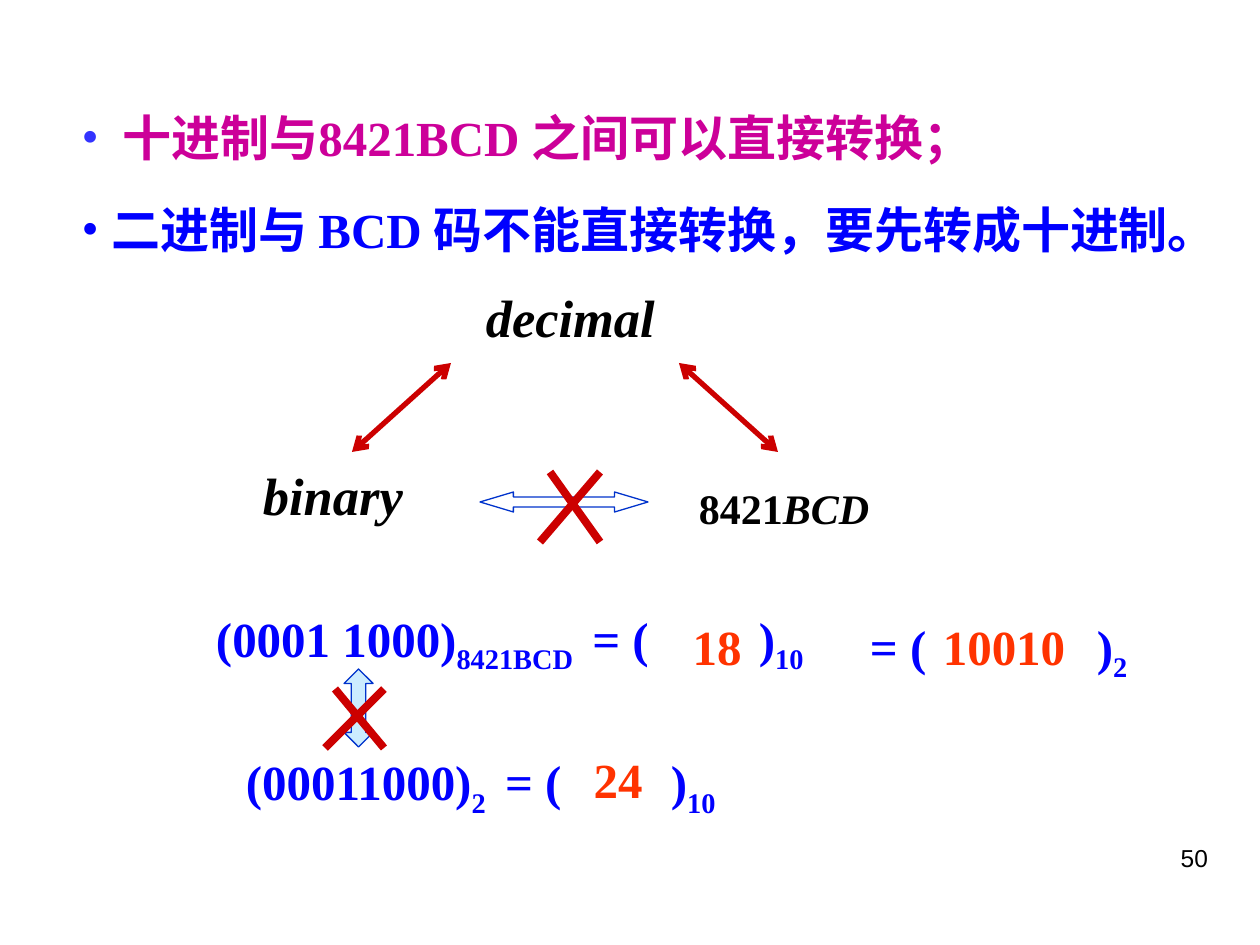
from pptx import Presentation
from pptx.dml.color import RGBColor
from pptx.enum.shapes import MSO_CONNECTOR as LINE, MSO_SHAPE as SHAPE
from pptx.enum.text import MSO_ANCHOR as ANCHOR, MSO_AUTO_SIZE as FIT, PP_ALIGN as ALIGN
from pptx.oxml.ns import qn
from pptx.util import Inches, Pt
from lxml.etree import SubElement

BLACK = RGBColor(0, 0, 0)
BLUE = RGBColor(0, 0, 255)
VIOLET = RGBColor(0x33, 0x33, 0xFF)
PINK = RGBColor(0xCC, 0, 0x99)
RED = RGBColor(0xCC, 0, 0)
ORANGE = RGBColor(0xFF, 0x33, 0)
EDGE = RGBColor(0, 0x33, 0xCC)
PALE = RGBColor(0xCC, 0xEC, 0xFF)
SERIF = "Times New Roman"
PAD = (13, 6)

# Bullet colour, then runs of (text, colour)
POINTS = [
    (VIOLET, [(" ", VIOLET), ("十进制与8421BCD 之间可以直接转换；", PINK)]),
    (BLUE, [("二进制与 BCD 码不能直接转换，要先转成十进制。", BLUE)]),
]
# Box, size, wrap, runs of (text, italic)
NODES = [
    ((462, 285, 217, 63), 30, True, [("decimal", True)]),
    ((261, 463, 144, 63), 30, False, [("binary", True)]),
    ((697, 483, 174, 50), 24, False, [("8421", False), ("BCD", True)]),
]
# Box, tab stop of the closing bracket, runs of (text, subscript)
SUMS = [
    ((203, 602, 673, 79), 543,
     [("(0001 1000)", False), ("8421BCD ", True), (" = (\t)", False), ("10", True)]),
    ((233, 746, 605, 79), 425,
     [("(00011000)", False), ("2 ", True), (" = (\t)", False), ("10", True)]),
    ((857, 610, 354, 79), 227, [("= (\t)", False), ("2", True)]),
]
# Box, wrap, value
ANSWERS = [
    ((677, 610, 80, 72), False, "18"),
    ((578, 743, 80, 72), False, "24"),
    ((925, 610, 158, 72), True, "10010"),
]
LINKS = [(451, 363, 352, 452), (679, 363, 778, 452)]
# Shape, box, head length ratio, fill
BLOCKS = [
    (SHAPE.LEFT_RIGHT_ARROW, (480, 492, 168, 20), 1.67, None),
    (SHAPE.UP_DOWN_ARROW, (344, 669, 29, 78), 0.5, PALE),
]
# Left foot, left top, right, top, bottom
CROSSES = [(540, 550, 600, 472, 542), (325, 335, 384, 689, 748)]


def px(*vals):
    return [Inches(v / 126) for v in vals]


def add_run(para, text, color, size=28, italic=False, sub=False, name=SERIF, bold=True):
    run = para.add_run()
    run.text = text
    font = run.font
    font.name, font.size, font.bold, font.italic = name, Pt(size), bold, italic
    font.color.rgb = color
    if sub:
        run._r.get_or_add_rPr().set("baseline", "-25000")


def add_box(box, wrap=True, pad=PAD, align=ALIGN.LEFT):
    """Add a text box and return its first paragraph."""
    frame = slide.shapes.add_textbox(*px(*box)).text_frame
    frame.word_wrap = wrap
    frame.auto_size = FIT.NONE if wrap else FIT.SHAPE_TO_FIT_TEXT
    frame.margin_left = frame.margin_right = px(pad[0])[0]
    frame.margin_top = frame.margin_bottom = px(pad[1])[0]
    para = frame.paragraphs[0]
    para.alignment = align
    return para


def add_line(ends, width, heads=False):
    line = slide.shapes.add_connector(LINE.STRAIGHT, *px(*ends))
    line.line.color.rgb = RED
    line.line.width = Pt(width)
    if heads:
        for end in ("a:headEnd", "a:tailEnd"):
            SubElement(line.line._get_or_add_ln(), qn(end), type="arrow")
    SubElement(line._element.spPr, qn("a:effectLst"))


def add_points(body):
    body.left, body.top, body.width, body.height = px(69, 98, 1121, 229)
    frame = body.text_frame
    frame.auto_size, frame.vertical_anchor = FIT.NONE, ANCHOR.TOP
    for i, (dot, runs) in enumerate(POINTS):
        para = frame.add_paragraph() if i else frame.paragraphs[0]
        para.line_spacing = 1.05
        para.space_before = Pt(17.5 if i else 0)
        props = para._p.get_or_add_pPr()
        indent = px(30)[0]
        props.set("marL", str(indent))
        props.set("indent", str(-indent))
        tint = SubElement(props, qn("a:buClr"))
        SubElement(tint, qn("a:srgbClr"), val=str(dot))
        SubElement(props, qn("a:buFont"), typeface=SERIF)
        SubElement(props, qn("a:buChar"), char="•")
        for text, color in runs:
            add_run(para, text, color)


deck = Presentation()
deck.slide_width, deck.slide_height = Inches(10), Inches(7.5)
slide = deck.slides.add_slide(deck.slide_layouts[1])
title = slide.shapes.title._element
title.getparent().remove(title)
add_points(slide.placeholders[1])

for box, size, wrap, runs in NODES:
    para = add_box(box, wrap, (0, 0), ALIGN.CENTER)
    for text, italic in runs:
        add_run(para, text, BLACK, size, italic)

for ends in LINKS:
    add_line(ends, 3, heads=True)

for kind, box, ratio, fill in BLOCKS:
    block = slide.shapes.add_shape(kind, *px(*box))
    block.shadow.inherit = False
    block.adjustments[0], block.adjustments[1] = 0.5, ratio
    block.line.color.rgb = EDGE
    block.line.width = Pt(0.75)
    if fill is None:
        block.fill.background()
    else:
        block.fill.solid()
        block.fill.fore_color.rgb = fill

for foot, left, right, top, low in CROSSES:
    add_line((right, top, foot, low), 4.5)
    add_line((left, top, right, low), 4.5)

for box, stop, runs in SUMS:
    para = add_box(box)
    tabs = SubElement(para._p.get_or_add_pPr(), qn("a:tabLst"))
    SubElement(tabs, qn("a:tab"), pos=str(px(stop)[0]), algn="l")
    for text, sub in runs:
        add_run(para, text, BLUE, sub=sub)

for box, wrap, text in ANSWERS:
    add_run(add_box(box, wrap, align=ALIGN.CENTER), text, ORANGE)

number = add_box((906, 837, 315, 66), align=ALIGN.RIGHT)
add_run(number, "50", BLACK, 14, name="Arial", bold=False)

deck.save("out.pptx")
